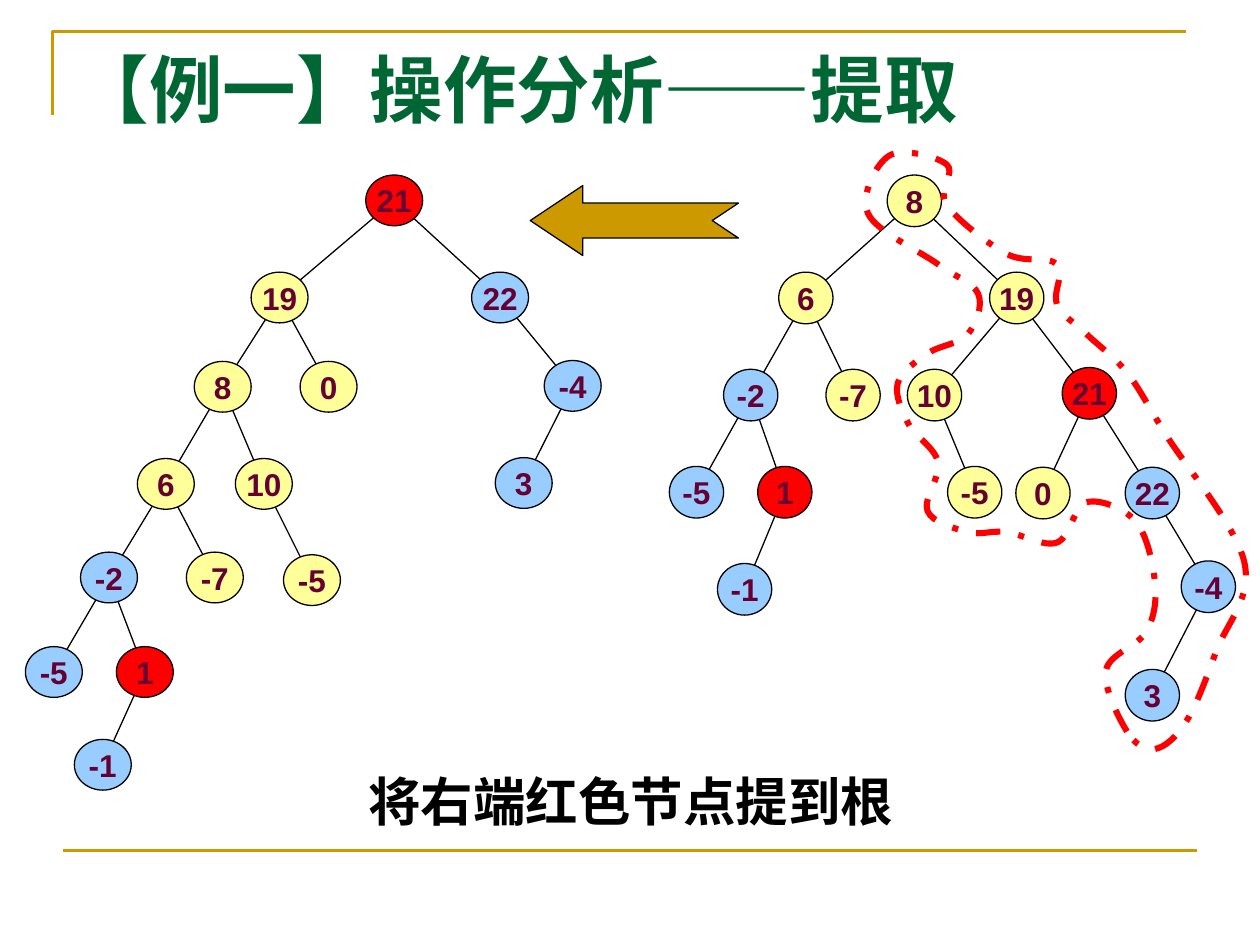
from lxml.etree import SubElement
from pptx import Presentation
from pptx.dml.color import RGBColor
from pptx.enum.dml import MSO_LINE
from pptx.enum.shapes import MSO_CONNECTOR, MSO_SHAPE
from pptx.enum.text import MSO_ANCHOR as Anchor, MSO_AUTO_SIZE as AutoSize, PP_ALIGN as Align
from pptx.oxml.ns import qn
from pptx.util import Pt

GOLD = RGBColor(0xCC, 0x99, 0x00)
GREEN = RGBColor(0x00, 0x66, 0x33)
BLACK = RGBColor(0x00, 0x00, 0x00)
RED = RGBColor(0xFF, 0x00, 0x00)
YELLOW = RGBColor(0xFF, 0xFF, 0x99)
BLUE = RGBColor(0x99, 0xCC, 0xFF)
PLUM = RGBColor(0x66, 0x00, 0x33)

# Each node: label, left, top, fill, index of its parent
RESULT_TREE = [
    ("21", 194.5, 0, RED, None), ("19", 129, 55.5, YELLOW, 0), ("22", 255, 55.5, BLUE, 0),
    ("8", 96.5, 106.5, YELLOW, 1), ("0", 157, 106.5, YELLOW, 1), ("-4", 296.5, 106, BLUE, 2),
    ("6", 64, 162, YELLOW, 3), ("10", 120, 162, YELLOW, 3), ("3", 268.5, 161.5, BLUE, 5),
    ("-2", 31.5, 215.5, BLUE, 6), ("-7", 92, 215.5, YELLOW, 6), ("-5", 147.5, 217, YELLOW, 7),
    ("-5", 0, 269.5, BLUE, 9), ("1", 52, 269.5, RED, 9), ("-1", 28, 322.5, BLUE, 13),
]
START_TREE = [
    ("8", 124.5, 0, YELLOW, None), ("6", 62.5, 55.5, YELLOW, 0), ("19", 183, 55.5, YELLOW, 0),
    ("-2", 31, 111, BLUE, 1), ("-7", 89.5, 111, YELLOW, 1), ("10", 136, 111, YELLOW, 2),
    ("21", 224.5, 110, RED, 2), ("-5", 0, 166.5, BLUE, 3), ("1", 50.5, 166.5, RED, 3),
    ("-5", 159, 166.5, YELLOW, 5), ("0", 198, 167, YELLOW, 6), ("22", 260.5, 167, BLUE, 6),
    ("-1", 27.5, 222, BLUE, 8), ("-4", 292.5, 220.5, BLUE, 11), ("3", 260.5, 282.5, BLUE, 13),
]
LOOP_KNOTS = [
    (153, 334), (141, 299), (164, 277), (169, 249), (158, 214), (130, 203), (113, 226),
    (84, 220), (62, 220), (39, 208), (45, 180), (28, 158), (22, 135), (39, 118),
    (62, 107), (68, 84), (45, 67), (5, 38), (17, 5), (50, 10), (50, 33), (84, 61),
    (113, 67), (113, 90), (130, 107), (153, 129), (175, 164), (220, 237), (204, 288),
    (187, 328), (169, 344),
]


def style_line(shape, color, width):
    """Set the outline colour and width."""
    shape.line.color.rgb = color
    shape.line.width = Pt(width)


def add_line(page, start, end, color, width):
    """Draw a straight line without a shadow."""
    line = page.shapes.add_connector(MSO_CONNECTOR.STRAIGHT, *map(Pt, (*start, *end)))
    style_line(line, color, width)
    SubElement(line._element.spPr, qn("a:effectLst"))


def add_outline(page, points, closed, color, width):
    """Draw an unfilled outline through the points."""
    points = [(Pt(x), Pt(y)) for x, y in points]
    builder = page.shapes.build_freeform(*points[0])
    builder.add_line_segments(points[1:], close=closed)
    shape = builder.convert_to_shape()
    shape.fill.background()
    shape.shadow.inherit = False
    style_line(shape, color, width)
    return shape


def add_frame(page, left, top, width, height):
    """Draw the gold corner at the top and the gold rule at the foot."""
    corner = [(left, top + 48), (left, top), (left + width, top)]
    add_outline(page, corner, False, GOLD, 1.5)
    foot = top + height
    add_line(page, (left + 6, foot), (left + 6 + width, foot), GOLD, 1.5)


def add_tree(page, left, top, node_width, node_height, nodes):
    """Draw the edges of a tree, then its nodes over them."""
    def center(node):
        return left + node[1] + node_width / 2, top + node[2] + node_height / 2

    for node in nodes:
        if node[4] is not None:
            add_line(page, center(nodes[node[4]]), center(node), BLACK, 0.75)
    for label, x, y, color, _ in nodes:
        oval = page.shapes.add_shape(
            MSO_SHAPE.OVAL, Pt(left + x), Pt(top + y), Pt(node_width), Pt(node_height))
        oval.shadow.inherit = False
        oval.fill.solid()
        oval.fill.fore_color.rgb = color
        style_line(oval, BLACK, 0.75)
        fill_text(oval, label, "Arial", 18, PLUM, Align.CENTER, Anchor.MIDDLE)
        oval.text_frame.word_wrap = False


def add_loop(page, left, top, knots):
    """Draw a smooth closed dash-dot curve through the knots."""
    points = [(left + x, top + y) for x, y in knots]
    loop = add_outline(page, points + points[:1], True, RED, 3.5)
    loop.line.dash_style = MSO_LINE.DASH_DOT
    outline = loop._element.find(".//" + qn("a:path"))
    local = [(int(pt.get("x")), int(pt.get("y"))) for pt in outline.iter(qn("a:pt"))][:-1]
    count = len(local)
    for i, segment in enumerate(outline.findall(qn("a:lnTo"))):
        before, start, end, after = (local[(i + step) % count] for step in (-1, 0, 1, 2))
        controls = (
            [s + (e - b) / 6 for b, s, e in zip(before, start, end)],
            [e - (a - s) / 6 for s, e, a in zip(start, end, after)],
            end,
        )
        segment.tag = qn("a:cubicBezTo")
        segment.remove(segment[0])
        for x, y in controls:
            SubElement(segment, qn("a:pt"), x=str(round(x)), y=str(round(y)))


def add_arrow(page, left, top, width, height):
    """Draw the notched arrow that points left."""
    arrow = page.shapes.add_shape(
        MSO_SHAPE.NOTCHED_RIGHT_ARROW, *map(Pt, (left, top, width, height)))
    arrow.rotation = 180
    arrow.adjustments[1] = 0.75
    arrow.shadow.inherit = False
    arrow.fill.solid()
    arrow.fill.fore_color.rgb = GOLD
    style_line(arrow, BLACK, 0.75)


def fill_text(shape, text, font, size, color, align, anchor):
    """Put one bold paragraph in the shape and return it."""
    frame = shape.text_frame
    frame.text = text
    frame.auto_size = AutoSize.NONE
    frame.vertical_anchor = anchor
    para = frame.paragraphs[0]
    para.alignment = align
    span = para.runs[0]
    span.font.name = font
    span.font.size = Pt(size)
    span.font.bold = True
    span.font.color.rgb = color
    return para


def place(shape, left, top, width, height):
    """Move a placeholder to its box."""
    shape.left, shape.top, shape.width, shape.height = map(Pt, (left, top, width, height))


def add_title(page, *box):
    """Fill the title placeholder."""
    title = page.shapes.title
    place(title, *box)
    fill_text(title, "【例一】操作分析——提取", "Times New Roman", 42, GREEN, Align.LEFT, Anchor.TOP)


def add_caption(page, *box):
    """Fill the body placeholder with the unbulleted caption."""
    body = page.placeholders[1]
    place(body, *box)
    para = fill_text(body, "将右端红色节点提到根", "Arial", 30, BLACK, Align.CENTER, Anchor.TOP)
    para.line_spacing = 0.9
    para.space_before = Pt(7.5)
    props = para._p.get_or_add_pPr()
    props.set("marL", "0")
    props.set("indent", "0")
    SubElement(props, qn("a:buNone"))


deck = Presentation()
deck.slide_width, deck.slide_height = Pt(720), Pt(540)
page = deck.slides.add_slide(deck.slide_layouts[1])
add_frame(page, 30, 18, 648, 468)
add_tree(page, 382.5, 100, 31, 29.5, START_TREE)
add_loop(page, 491, 84, LOOP_KNOTS)
add_arrow(page, 303, 106, 119, 40)
add_tree(page, 14.5, 100, 32.5, 29, RESULT_TREE)
add_title(page, 36, 21.5, 648, 90)
add_caption(page, 36.5, 440, 648, 42.5)
deck.save("out.pptx")
